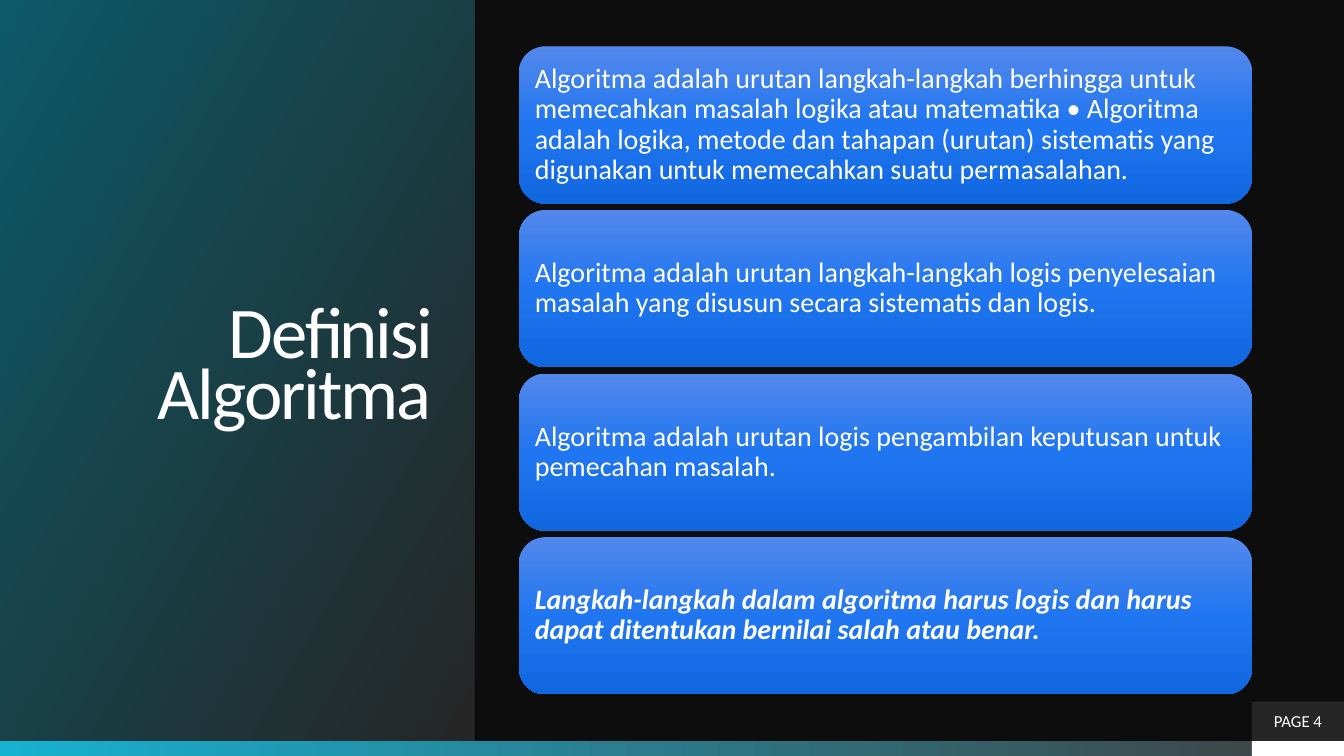
from lxml import etree
from pptx import Presentation
from pptx.dml.color import RGBColor
from pptx.enum.shapes import MSO_SHAPE
from pptx.enum.text import MSO_ANCHOR, PP_ALIGN
from pptx.oxml.ns import qn
from pptx.util import Inches, Pt

RECTANGLE = MSO_SHAPE.RECTANGLE
ROUNDED = MSO_SHAPE.ROUNDED_RECTANGLE
MIDDLE = MSO_ANCHOR.MIDDLE
LEFT, CENTER, RIGHT = PP_ALIGN.LEFT, PP_ALIGN.CENTER, PP_ALIGN.RIGHT

FONT = "Calibri"
COLORS = {
    "background": "0D0D0D",
    "white": "FFFFFF",
    "charcoal": "262626",
    "gray": "404040",
    "cyan": "17B2D1",
    "teal": "0C5968",
    "card_top": "5388EC",
    "card_middle": "2076F0",
    "card_bottom": "1167E0",
}
CARD_STOPS = [(0, "card_top"), (50, "card_middle"), (100, "card_bottom")]
CARD_TOP, CARD_PITCH = 0.46, 1.623
DEFINITIONS = [
    "Algoritma adalah urutan langkah-langkah berhingga untuk memecahkan masalah "
    "logika atau matematika • Algoritma adalah logika, metode dan tahapan (urutan) "
    "sistematis yang digunakan untuk memecahkan suatu permasalahan.",
    "Algoritma adalah urutan langkah-langkah logis penyelesaian masalah yang "
    "disusun secara sistematis dan logis.",
    "Algoritma adalah urutan logis pengambilan keputusan untuk pemecahan masalah.",
    "Langkah-langkah dalam algoritma harus logis dan harus dapat ditentukan "
    "bernilai salah atau benar.",
]


def color(name):
    return RGBColor.from_string(COLORS[name])


def add_box(page, left, top, width, height, kind=RECTANGLE, fill=None):
    """Add a borderless shape, with a solid fill if one is named."""
    box = page.shapes.add_shape(
        kind, Inches(left), Inches(top), Inches(width), Inches(height))
    box.shadow.inherit = False
    box.line.fill.background()
    if fill:
        box.fill.solid()
        box.fill.fore_color.rgb = color(fill)
    return box


def set_gradient(box, stops, clockwise_angle):
    """Fill with a linear gradient; stops are (percent, colour name)."""
    box.fill.gradient()
    box.fill.gradient_angle = (360 - clockwise_angle) % 360
    stop_list = box._element.spPr.find(qn("a:gradFill")).find(qn("a:gsLst"))
    for old_stop in list(stop_list):
        stop_list.remove(old_stop)
    for percent, name in stops:
        stop = etree.SubElement(stop_list, qn("a:gs"), pos=str(percent * 1000))
        etree.SubElement(stop, qn("a:srgbClr"), val=COLORS[name])


def set_text(box, text, size, align=LEFT, inset_x=0.1, inset_y=0.05,
             line_spacing=1.0, tracking=None, bold=False, italic=False):
    frame = box.text_frame
    frame.word_wrap = True
    frame.vertical_anchor = MIDDLE
    frame.margin_left = frame.margin_right = Inches(inset_x)
    frame.margin_top = frame.margin_bottom = Inches(inset_y)
    para = frame.paragraphs[0]
    para.alignment = align
    para.line_spacing = line_spacing
    span = para.add_run()
    span.text = text
    span.font.name = FONT
    span.font.size = Pt(size)
    span.font.bold = bold
    span.font.italic = italic
    span.font.color.rgb = color("white")
    if tracking is not None:
        span.font._element.set("spc", str(int(tracking * 100)))


def add_card(page, index, text, emphasis):
    card = add_box(page, 5.15, CARD_TOP + index * CARD_PITCH, 7.27, 1.56, ROUNDED)
    set_gradient(card, CARD_STOPS, 90)
    set_text(card, text, 20, inset_x=0.08, inset_y=0.08, line_spacing=0.9,
             bold=emphasis, italic=emphasis)


def main():
    deck = Presentation()
    deck.slide_width, deck.slide_height = Inches(13.333), Inches(7.5)
    page = deck.slides.add_slide(deck.slide_layouts[6])
    page.background.fill.solid()
    page.background.fill.fore_color.rgb = color("background")

    # Bottom strip
    strip = add_box(page, 0, 7.35, 13.333, 0.15)
    set_gradient(strip, [(0, "cyan"), (100, "gray")], 0)
    add_box(page, 12.42, 7.35, 0.913, 0.15, fill="white")

    # Title panel
    panel = add_box(page, 0, 0, 4.71, 7.35)
    set_gradient(panel, [(1, "charcoal"), (100, "teal")], 210)
    set_text(panel, "Definisi Algoritma", 52, align=RIGHT, inset_x=0.43,
             inset_y=0, line_spacing=0.7, tracking=-1.5)

    # Page number
    page_label = add_box(page, 12.42, 6.96, 0.913, 0.39, fill="charcoal")
    set_text(page_label, "PAGE 4", 12, align=CENTER)

    # Definition cards, the last one emphasised
    for index, text in enumerate(DEFINITIONS):
        add_card(page, index, text, emphasis=index == len(DEFINITIONS) - 1)

    deck.save("out.pptx")


if __name__ == "__main__":
    main()
